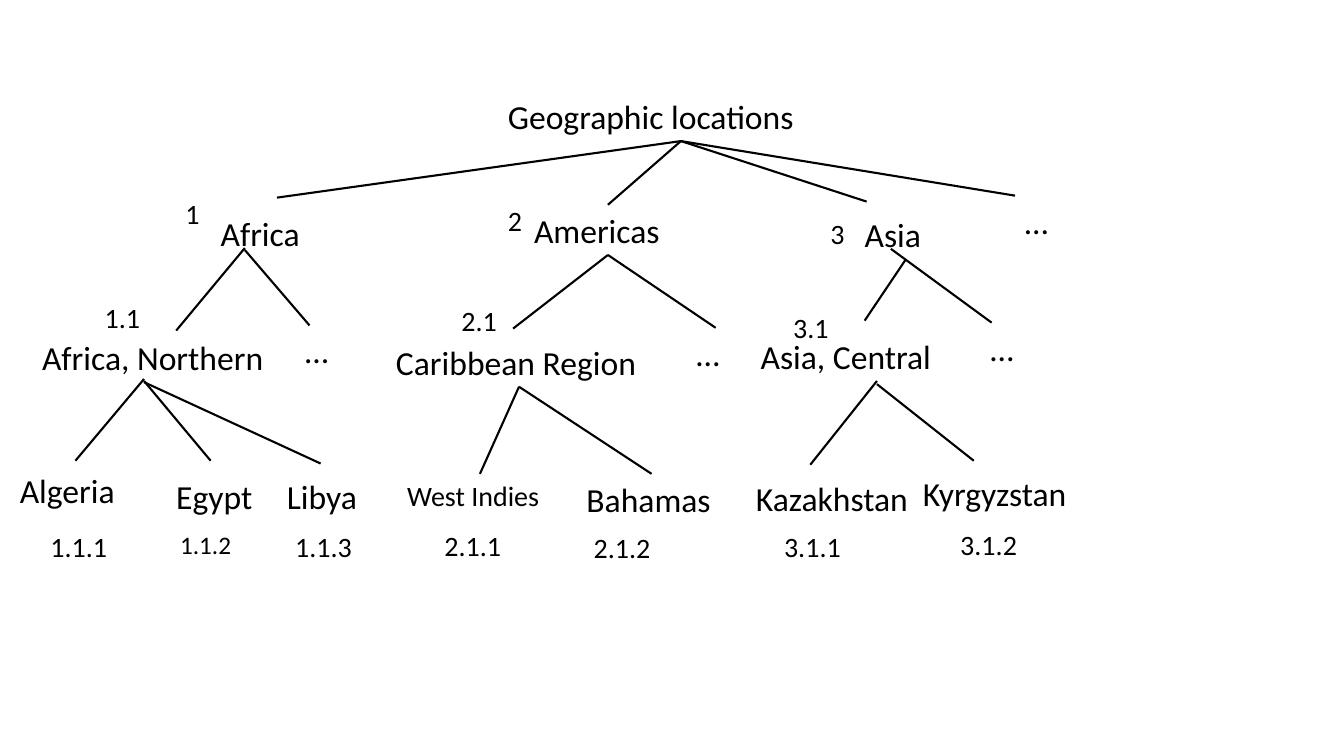
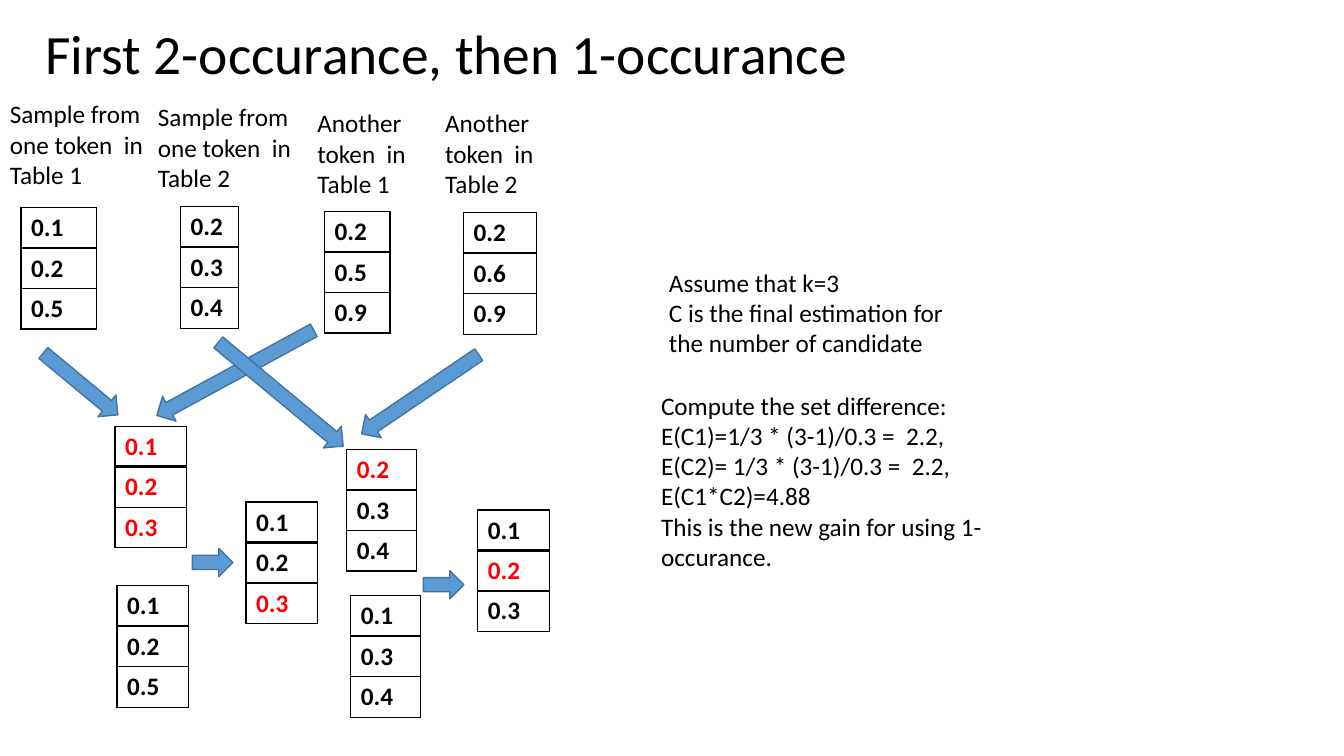
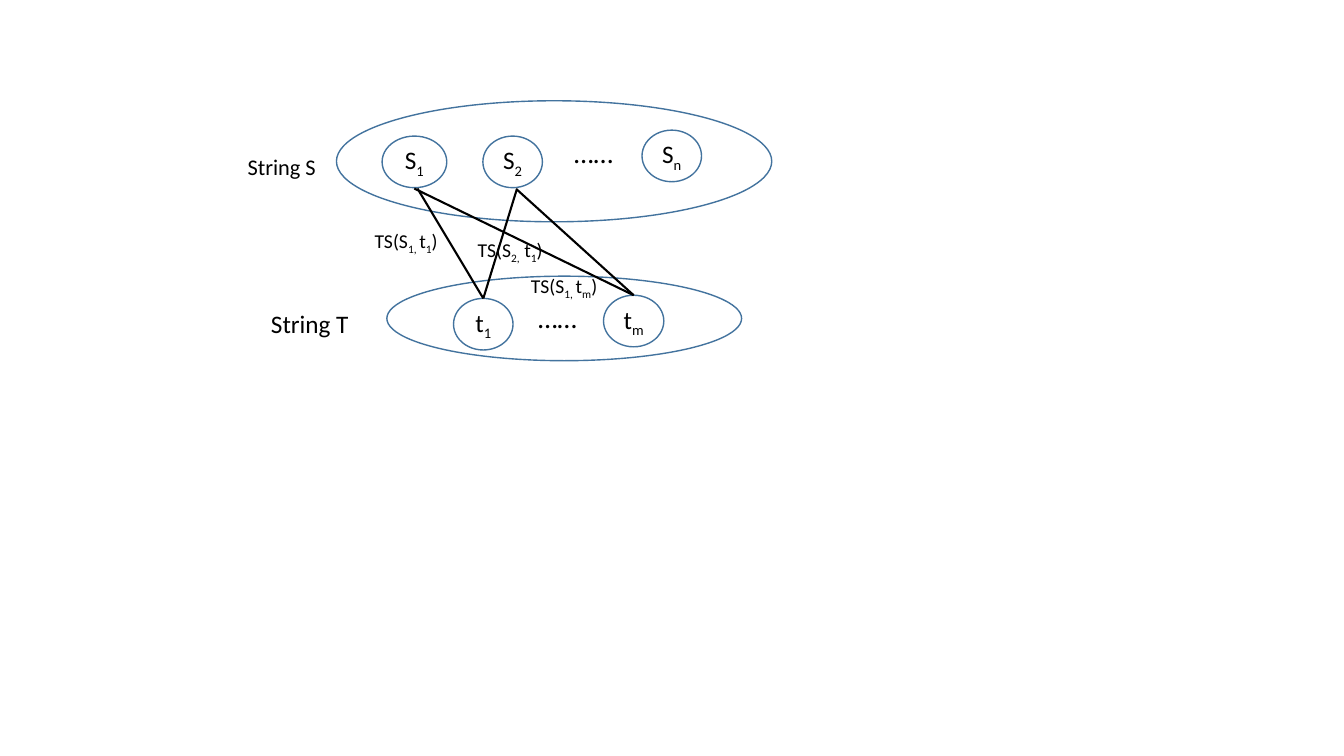
from lxml import etree
from pptx import Presentation
from pptx.dml.color import RGBColor
from pptx.enum import shapes, text
from pptx.oxml import ns
from pptx.util import Cm, Pt

FONT = "Calibri"
BLACK, WHITE, RED = "000000", "FFFFFF", "FF0000"
BLUE, BLUE_EDGE = "5B9BD5", "43739E"
NUMBER_WIDTH = 2.03
LABEL_WIDTH = 2.57
CAPTION_WIDTH = 4.14
DOTS_WIDTH = 1.52
NODE_HEIGHT = 1.3
ARROW_HEIGHT = 0.71
ROW_HEIGHT = 1.02


def color(value):
    return RGBColor.from_string(value)


def apply(target, values):
    for key, value in values.items():
        setattr(target, key, value)


def write(paragraph, words, size, ink=BLACK, bold=False):
    for index, part in enumerate(words.split("_")):
        if not part:
            continue
        run = paragraph.add_run()
        run.text = part
        apply(run.font, {"name": FONT, "size": Pt(size), "bold": bold})
        run.font.color.rgb = color(ink)
        if index % 2:
            run.font._element.set("baseline", "-25000")


def label(slide, words, left, top, width, size=24, lines=1):
    height = 0.25 + 0.0423 * size * lines
    box = slide.shapes.add_textbox(Cm(left), Cm(top), Cm(width), Cm(height))
    frame = box.text_frame
    apply(frame, {"word_wrap": True, "auto_size": text.MSO_AUTO_SIZE.SHAPE_TO_FIT_TEXT})
    for index, line_words in enumerate(words.split("\n")):
        paragraph = frame.add_paragraph() if index else frame.paragraphs[0]
        write(paragraph, line_words, size)
    return box


def title(slide, words):
    box = slide.shapes.add_textbox(Cm(0.89), Cm(0.15), Cm(21.34), Cm(2.54))
    frame = box.text_frame
    apply(frame, {"word_wrap": True, "vertical_anchor": text.MSO_ANCHOR.MIDDLE})
    frame.paragraphs[0].line_spacing = 0.9
    write(frame.paragraphs[0], words, 39.6)


def figure(slide, kind, left, top, width, height, fill):
    shape = slide.shapes.add_shape(kind, Cm(left), Cm(top), Cm(width), Cm(height))
    shape.shadow.inherit = False
    shape.fill.solid()
    shape.fill.fore_color.rgb = color(fill)
    shape.line.color.rgb = color(BLUE_EDGE)
    shape.line.width = Pt(1)
    return shape


def oval(slide, left, top, width, height):
    return figure(slide, shapes.MSO_SHAPE.OVAL, left, top, width, height, WHITE)


def node(slide, words, left, top, width):
    shape = oval(slide, left, top, width, NODE_HEIGHT)
    frame = shape.text_frame
    apply(frame, {"word_wrap": False, "vertical_anchor": text.MSO_ANCHOR.MIDDLE})
    frame.paragraphs[0].alignment = text.PP_ALIGN.CENTER
    write(frame.paragraphs[0], words, 18)
    return shape


def arrow(slide, left, top, length, angle=0):
    kind = shapes.MSO_SHAPE.RIGHT_ARROW
    figure(slide, kind, left, top, length, ARROW_HEIGHT, BLUE).rotation = angle


def line(slide, start, end):
    points = [p if isinstance(p, tuple) else (0, 0) for p in (start, end)]
    lengths = [Cm(value) for point in points for value in point]
    edge = slide.shapes.add_connector(shapes.MSO_CONNECTOR.STRAIGHT, *lengths)
    if not isinstance(start, tuple):
        edge.begin_connect(start, 2)
    if not isinstance(end, tuple):
        edge.end_connect(end, 0)
    edge.line.color.rgb = color(BLACK)
    edge.line.width = Pt(1.5)
    etree.SubElement(edge._element.spPr, ns.qn("a:effectLst"))


def border(cell, side, width):
    edge = etree.SubElement(cell._tc.get_or_add_tcPr(), ns.qn("a:ln" + side))
    edge.set("w", str(Pt(width)))
    fill = etree.SubElement(edge, ns.qn("a:solidFill"))
    etree.SubElement(fill, ns.qn("a:srgbClr")).set("val", BLACK)


def sample(slide, values, left, top, width, red=()):
    frame = slide.shapes.add_table(
        len(values), 1, Cm(left), Cm(top), Cm(width), Cm(ROW_HEIGHT * len(values)))
    table = frame.table
    apply(table, {"first_row": False, "horz_banding": False})
    for index, value in enumerate(values):
        table.rows[index].height = Cm(ROW_HEIGHT)
        cell = table.cell(index, 0)
        widths = {"L": 1, "R": 1, "T": 2 if index == 1 else 1, "B": 1 if index else 2}
        for side, size in widths.items():
            border(cell, side, size)
        cell.fill.background()
        ink = RED if value in red else BLACK
        write(cell.text_frame.paragraphs[0], value, 18, ink, True)


def location_tree(slide):
    root = label(slide, "Geographic locations", 12.55, 2.29, 9.22)
    americas = label(slide, "Americas", 13.21, 5.16, 4.22)
    asia = label(slide, "Asia", 21.54, 5.26, 2.59)
    caribbean = label(slide, "Caribbean Region", 9.73, 8.48, 6.7)
    west_indies = label(slide, "West Indies", 10.01, 11.94, 4.17, 20)
    bahamas = label(slide, "Bahamas", 14.53, 11.94, 3.78)
    more_americas = label(slide, "…", 17.3, 8.26, 1.47)
    for place in (
        ("Africa", 5.31, 5.23, 3.02),
        ("Africa, Northern", 0.81, 8.36, 6.45),
        ("Algeria", 0.25, 11.71, 3.3),
        ("Egypt", 4.19, 11.86, 2.62),
        ("Libya", 6.98, 11.86, 2.62),
        ("Kazakhstan", 18.8, 11.91, 5.1),
        ("Asia, Central", 18.92, 8.33, 5.1),
        ("Kyrgyzstan", 23.01, 11.79, 4.32),
        ("…", 24.71, 8.13, 1.5),
        ("…", 25.58, 4.95, 0.71),
        ("…", 7.44, 8.2, 5.1),
    ):
        label(slide, *place)
    for start, end in (
        (root, (6.98, 4.98)),
        (root, americas),
        (root, (21.84, 5.08)),
        (root, (25.58, 4.93)),
        ((6.17, 6.25), (4.44, 8.33)),
        ((6.17, 6.3), (7.8, 8.2)),
        ((3.63, 9.55), (1.9, 11.61)),
        ((3.63, 9.6), (5.31, 11.61)),
        ((3.63, 9.63), (8.08, 11.68)),
        (americas, (12.93, 8.28)),
        (americas, more_americas),
        (caribbean, west_indies),
        (caribbean, bahamas),
        (asia, (21.79, 8.08)),
        ((22.45, 6.27), (24.99, 8.13)),
        ((22.1, 9.6), (20.42, 11.71)),
        ((22.1, 9.68), (24.54, 11.61)),
    ):
        line(slide, start, end)
    for number, left, top in (
        ("1", 4.42, 4.83),
        ("1.1", 2.39, 7.44),
        ("1.1.1", 1.02, 13.21),
        ("1.1.3", 7.19, 13.21),
        ("2", 12.55, 5),
        ("2.1", 11.38, 7.52),
        ("2.1.1", 10.95, 13.18),
        ("2.1.2", 14.71, 13.23),
        ("3", 20.68, 5.33),
        ("3.1", 19.74, 7.7),
        ("3.1.1", 19.51, 13.21),
        ("3.1.2", 23.95, 13.16),
    ):
        label(slide, number, left, top, NUMBER_WIDTH, 20)
    label(slide, "1.1.2", 4.29, 13.21, NUMBER_WIDTH, 18)


def occurrence_samples(slide):
    title(slide, "First 2-occurance, then 1-occurance")
    for caption, left, top in (
        ("Sample from one token  in Table 1", 0, 2.36),
        ("Sample from one token  in Table 2", 3.73, 2.44),
        ("Another token  in Table 1", 7.75, 2.59),
        ("Another token  in Table 2", 10.97, 2.59),
    ):
        label(slide, caption, left, top, CAPTION_WIDTH, 18, 3)
    for direction in (
        (0.81, 9.32, 2.44, 39.7),
        (3.68, 9.04, 4.5, 151.5),
        (5.03, 9.58, 4.09, 39.7),
        (8.81, 9.58, 3.56, 145.9),
        (10.67, 14.38, 1.02),
        (4.85, 13.82, 1.02),
    ):
        arrow(slide, *direction)
    for values, *place in (
        ("0.1 0.2 0.5", 0.53, 5.23, 1.9),
        ("0.2 0.3 0.4", 4.55, 5.21, 1.47),
        ("0.2 0.5 0.9", 8.18, 5.33, 1.65),
        ("0.2 0.6 0.9", 11.68, 5.36, 1.85),
        ("0.1 0.2 0.3", 2.9, 10.74, 1.8, ("0.1", "0.2", "0.3")),
        ("0.2 0.3 0.4", 8.74, 11.33, 1.75, ("0.2",)),
        ("0.1 0.2 0.5", 2.95, 14.76, 1.8),
        ("0.1 0.3 0.4", 8.84, 15.01, 1.75),
        ("0.1 0.2 0.3", 6.2, 12.65, 1.8, ("0.3",)),
        ("0.1 0.2 0.3", 12.04, 12.85, 1.8, ("0.2",)),
    ):
        sample(slide, values.split(), *place)
    label(slide, "Assume that k=3\nC is the final estimation for the number of candidate",
          16.61, 6.6, 7.54, 18, 3)
    label(slide, "Compute the set difference:\n"
          "E(C1)=1/3 * (3-1)/0.3 =  2.2,\n"
          "E(C2)= 1/3 * (3-1)/0.3 =  2.2,\n"
          "E(C1*C2)=4.88\n"
          "This is the new gain for using 1-occurance.",
          16.41, 9.7, 8.81, 18, 7)


def string_matching(slide):
    oval(slide, 9.75, 6.96, 8.94, 2.13)
    oval(slide, 8.48, 2.54, 10.97, 3.05)
    for token in (
        ("S_1", 9.63, 3.43, 1.63),
        ("S_2", 12.17, 3.43, 1.5),
        ("S_n", 16.18, 3.28, 1.5),
    ):
        node(slide, *token)
    first_t = node(slide, "t_1", 11.43, 7.52, 1.5)
    last_t = node(slide, "t_m", 15.21, 7.44, 1.52)
    for left, top in ((14.22, 3.28), (13.31, 7.44)):
        label(slide, "……", left, top, DOTS_WIDTH, 20)
    for start, end in (
        ((10.52, 4.75), first_t),
        ((10.44, 4.75), last_t),
        ((13.03, 4.75), first_t),
        ((13.03, 4.78), last_t),
    ):
        line(slide, start, end)
    for words, left, top, size in (
        ("TS(S_1, _t_1_)", 9.19, 5.64, 14),
        ("TS(S_1, _t_m_)", 13.13, 6.78, 14),
        ("TS(S_2,_ t_1_)", 11.79, 5.87, 14),
        ("String S", 5.99, 3.73, 16),
        ("String T", 6.58, 7.65, 18),
    ):
        label(slide, words, left, top, LABEL_WIDTH, size)


def main():
    deck = Presentation()
    apply(deck, {"slide_width": Cm(33.87), "slide_height": Cm(19.05)})
    for build in (location_tree, occurrence_samples, string_matching):
        build(deck.slides.add_slide(deck.slide_layouts[6]))
    deck.save("out.pptx")


if __name__ == "__main__":
    main()
